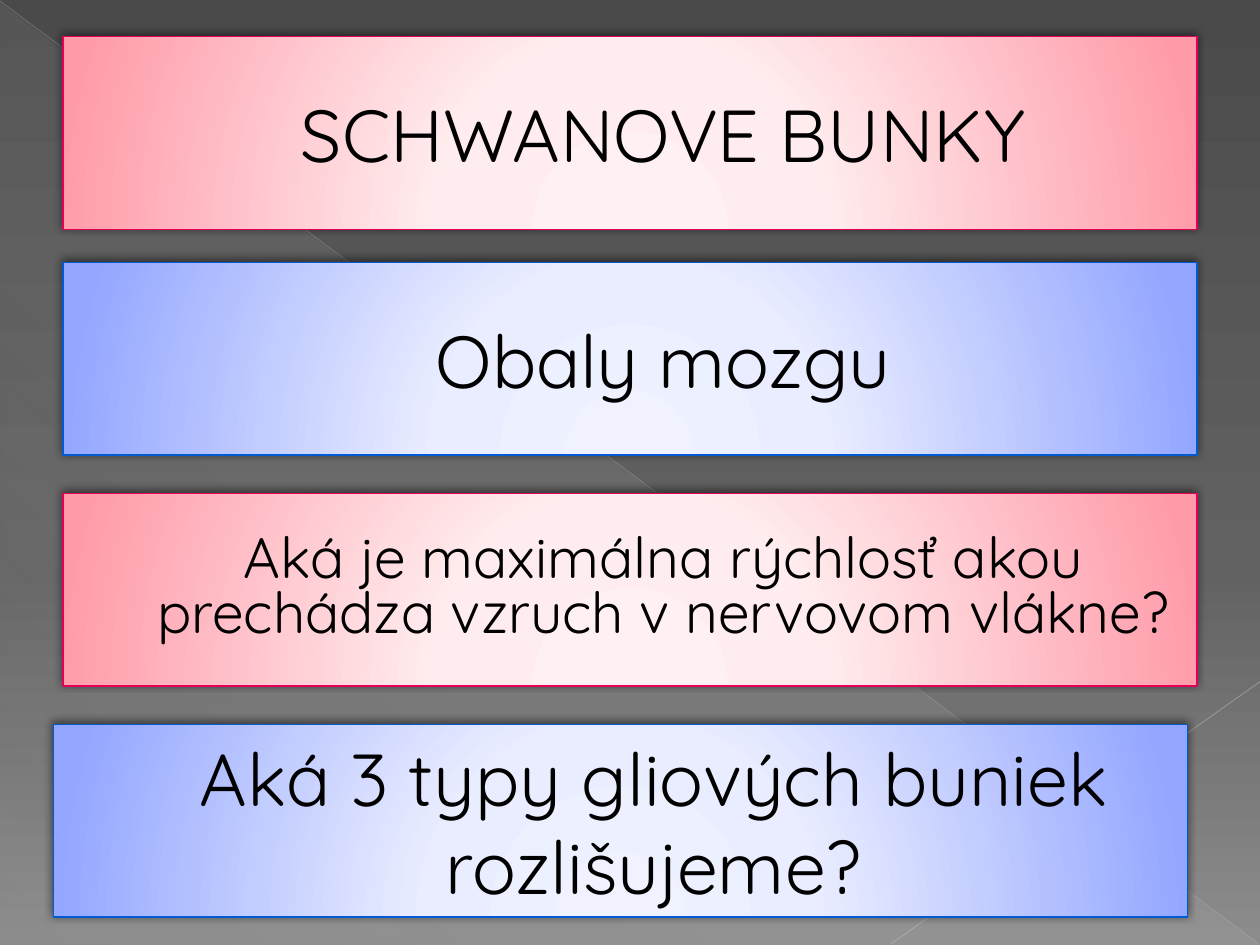
from lxml import etree
from pptx import Presentation
from pptx.dml.color import RGBColor
from pptx.enum.shapes import MSO_CONNECTOR, MSO_SHAPE
from pptx.enum.text import MSO_ANCHOR, MSO_AUTO_SIZE, PP_ALIGN
from pptx.oxml.ns import qn
from pptx.util import Pt

CENTER, MIDDLE, NO_AUTOFIT = PP_ALIGN.CENTER, MSO_ANCHOR.MIDDLE, MSO_AUTO_SIZE.NONE
RECTANGLE, TRIANGLE = MSO_SHAPE.RECTANGLE, MSO_SHAPE.RIGHT_TRIANGLE
STRAIGHT = MSO_CONNECTOR.STRAIGHT
TITLE_ONLY = 5

WIDTH, HEIGHT = 720, 540
BAND_WIDTH, BAND_HEIGHT, TEXT_MARGIN = 648, 110, 38

THEME = {
    "font": "Quicksand",
    "large": 42,
    "small": 32.5,
    "text": "000000",
    "text_outline": "B12761",
    "shadow": "000000",
    # Gradient stops: position in percent, colour, opacity in percent
    "background": [(0, "4A4A4A", 100), (60, "626262", 100), (100, "8C8C8C", 100)],
    "sheen": [(0, "D2D2D2", 10), (70, "D2D2D2", 8), (100, "D2D2D2", 1)],
    "pink": {"line": "E40059",
             "stops": [(0, "FFF1F3", 100), (34, "FFECEE", 100), (100, "FF9BA9", 100)]},
    "blue": {"line": "005BD3",
             "stops": [(0, "F0F2FF", 100), (34, "EAEDFF", 100), (100, "92A5FF", 100)]},
}

# Text, left, top, palette, type size, line spacing
BANDS = [
    ("SCHWANOVE BUNKY", 36, 21, "pink", "large", 1.0),
    ("Obaly mozgu", 36, 150, "blue", "large", 1.0),
    ("Aká je maximálna rýchlosť akou prechádza vzruch v nervovom vlákne?",
     36, 282, "pink", "small", 0.8),
    ("Aká 3 typy gliových buniek rozlišujeme?", 30.5, 414, "blue", "large", 1.0),
]

# Start, end, colour, width, opacity in percent
DIAGONALS = [
    ((0, 0.5), (719.5, 539.5), "BFBFBF", 0.39, 35),
    ((720, 389.5), (509, 539.5), "C6C6C6", 0.47, 45),
]


def add_element(parent, tag, **attributes):
    element = etree.SubElement(parent, qn(tag))
    for name, value in attributes.items():
        element.set(name, str(value))
    return element


def add_color(parent, color, opacity=100):
    element = add_element(parent, "a:srgbClr", val=color)
    if opacity < 100:
        add_element(element, "a:alpha", val=opacity * 1000)


def set_gradient(owner, stops, angle=None):
    """Fill a shape or background: linear with an angle, else circles from below."""
    fill = owner.fill
    fill.gradient()
    gradient = next(owner_element(owner).iter(qn("a:gradFill")))
    for child in list(gradient):
        gradient.remove(child)
    stop_list = add_element(gradient, "a:gsLst")
    for position, color, opacity in stops:
        add_color(add_element(stop_list, "a:gs", pos=position * 1000), color, opacity)
    if angle is None:
        circle = add_element(gradient, "a:path", path="circle")
        add_element(circle, "a:fillToRect", l=50000, t=155000, r=50000, b=-55000)
    else:
        add_element(gradient, "a:lin", ang=angle * 60000, scaled=0)


def owner_element(owner):
    return owner.element if hasattr(owner, "element") else slide.element


def add_shadow(shape):
    shape.shadow.inherit = False
    effects = next(shape.element.iter(qn("a:effectLst")))
    shadow = add_element(effects, "a:outerShdw", blurRad=Pt(5), dist=Pt(2),
                         dir=245 * 60000, rotWithShape=0)
    add_color(shadow, THEME["shadow"], 50)


def add_diagonal(start, end, color, width, opacity):
    connector = slide.shapes.add_connector(STRAIGHT, *map(Pt, start + end))
    connector.line.width = Pt(width)
    connector.line.color.rgb = RGBColor.from_string(color)
    line_color = next(connector.element.iter(qn("a:srgbClr")))
    add_element(line_color, "a:alpha", val=opacity * 1000)
    add_element(connector.element.spPr, "a:effectLst")


def write_text(shape, text, size, spacing):
    frame = shape.text_frame
    frame.word_wrap = True
    frame.auto_size = NO_AUTOFIT
    frame.vertical_anchor = MIDDLE
    paragraph = frame.paragraphs[0]
    paragraph.alignment = CENTER
    paragraph.line_spacing = spacing
    properties = paragraph._p.get_or_add_pPr()
    properties.set("marL", str(Pt(TEXT_MARGIN)))
    properties.set("indent", "0")
    run = paragraph.add_run()
    run.text = text
    run.font.name = THEME["font"]
    run.font.size = Pt(size)
    run.font.color.rgb = RGBColor.from_string(THEME["text"])
    outline = etree.Element(qn("a:ln"), w=str(Pt(0.5)))
    add_color(add_element(outline, "a:solidFill"), THEME["text_outline"])
    run.font._element.insert(0, outline)


def format_band(shape, text, left, top, palette, size, spacing):
    shape.left, shape.top = Pt(left), Pt(top)
    shape.width, shape.height = Pt(BAND_WIDTH), Pt(BAND_HEIGHT)
    set_gradient(shape, THEME[palette]["stops"])
    shape.line.color.rgb = RGBColor.from_string(THEME[palette]["line"])
    shape.line.width = Pt(0.75)
    add_shadow(shape)
    write_text(shape, text, THEME[size], spacing)


presentation = Presentation()
presentation.slide_width, presentation.slide_height = Pt(WIDTH), Pt(HEIGHT)
slide = presentation.slides.add_slide(presentation.slide_layouts[TITLE_ONLY])
set_gradient(slide.background, THEME["background"], 90)

sheen = slide.shapes.add_shape(TRIANGLE, Pt(0.5), Pt(1.5), Pt(719), Pt(538.5))
set_gradient(sheen, THEME["sheen"], 133)
sheen.line.fill.background()
sheen.shadow.inherit = False
for diagonal in DIAGONALS:
    add_diagonal(*diagonal)

title = slide.shapes.title
slide.shapes.element.append(title.element)  # bring the title in front of the backdrop
format_band(title, *BANDS[0])
for band in BANDS[1:]:
    rectangle = slide.shapes.add_shape(RECTANGLE, 0, 0, Pt(BAND_WIDTH), Pt(BAND_HEIGHT))
    format_band(rectangle, *band)

presentation.save("out.pptx")
